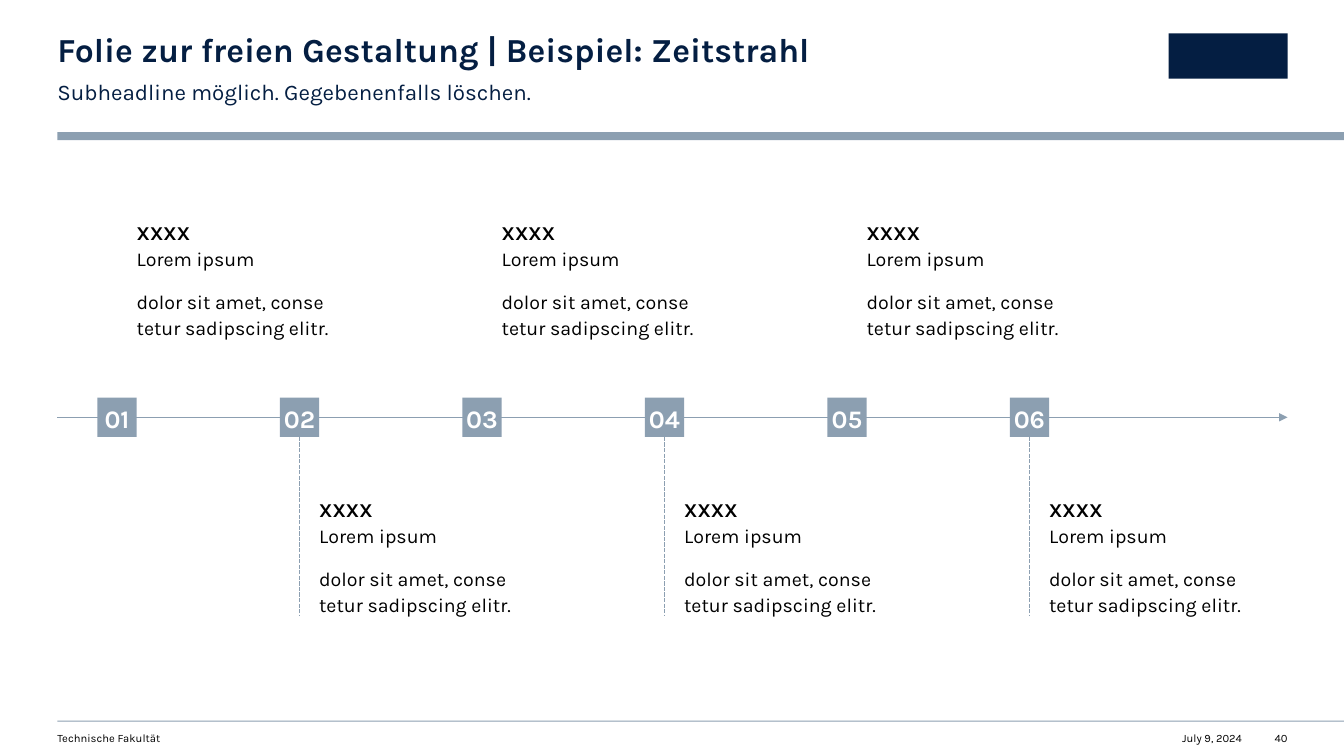
"""Build a timeline slide with six alternating milestones."""
import pptx
import pptx.dml.color
import pptx.enum.dml
import pptx.enum.shapes
import pptx.enum.text
import pptx.oxml.xmlchemy
import pptx.util

Inches = pptx.util.Inches
Pt = pptx.util.Pt
RGBColor = pptx.dml.color.RGBColor
Align = pptx.enum.text.PP_ALIGN

NAVY = RGBColor(0x04, 0x1E, 0x42)
STEEL = RGBColor(0x8C, 0x9F, 0xB1)
BLACK = RGBColor(0, 0, 0)
WHITE = RGBColor(255, 255, 255)
FONT = "Karla"

MARGIN = 0.57
RIGHT_EDGE = 12.77
AXIS_Y = 4.14
MARKER_SIZE = 0.39
FIRST_MARKER_X = 1.16
MARKER_STEP = 1.81
UPPER_TEXT_Y = 2.17
LOWER_TEXT_Y = 4.92
DASH_END_Y = 6.11
MILESTONES = [
    (number, "XXXX", "Lorem ipsum", "dolor sit amet, conse\vtetur sadipscing elitr.")
    for number in ("01", "02", "03", "04", "05", "06")
]


def style_paragraph(paragraph, size, color, bold=None, align=Align.LEFT, spacing=1.0, after=0):
    """Set the font and the spacing of a paragraph."""
    paragraph.font.name = FONT
    paragraph.font.size = Pt(size)
    paragraph.font.color.rgb = color
    paragraph.font.bold = bold
    paragraph.alignment = align
    paragraph.line_spacing = spacing
    paragraph.space_after = Pt(after)


def clear_margins(frame):
    """Remove the inner margins of a text frame."""
    frame.margin_left = frame.margin_right = frame.margin_top = frame.margin_bottom = 0


def add_text_frame(slide, left, top, width, height):
    """Add a wrapping text box without margins and return its frame."""
    box = slide.shapes.add_textbox(Inches(left), Inches(top), Inches(width), Inches(height))
    clear_margins(box.text_frame)
    box.text_frame.word_wrap = True
    return box.text_frame


def add_label(slide, text, left, top, width, height, size, color, **style):
    """Add a text box with one styled paragraph."""
    paragraph = add_text_frame(slide, left, top, width, height).paragraphs[0]
    paragraph.text = text
    style_paragraph(paragraph, size, color, **style)


def add_rectangle(slide, left, top, width, height, color):
    """Add a plain filled rectangle."""
    shape = slide.shapes.add_shape(
        pptx.enum.shapes.MSO_SHAPE.RECTANGLE,
        Inches(left), Inches(top), Inches(width), Inches(height))
    shape.shadow.inherit = False
    shape.fill.solid()
    shape.fill.fore_color.rgb = color
    shape.line.fill.background()
    return shape


def add_line(slide, start_x, start_y, end_x, end_y):
    """Add a thin straight connector without a shadow."""
    line = slide.shapes.add_connector(
        pptx.enum.shapes.MSO_CONNECTOR.STRAIGHT,
        Inches(start_x), Inches(start_y), Inches(end_x), Inches(end_y))
    line.line.color.rgb = STEEL
    line.line.width = Pt(1)
    line._element.spPr.append(pptx.oxml.xmlchemy.OxmlElement("a:effectLst"))
    return line


def add_axis(slide):
    """Add the horizontal time arrow."""
    axis = add_line(slide, MARGIN, AXIS_Y, RIGHT_EDGE, AXIS_Y)
    arrowhead = pptx.oxml.xmlchemy.OxmlElement("a:tailEnd")
    arrowhead.set("type", "triangle")
    axis.line._get_or_add_ln().append(arrowhead)


def add_marker(slide, number, center_x):
    """Add a numbered square on the time arrow."""
    marker = add_rectangle(slide, center_x - MARKER_SIZE / 2, AXIS_Y - MARKER_SIZE / 2,
                           MARKER_SIZE, MARKER_SIZE, STEEL)
    frame = marker.text_frame
    clear_margins(frame)
    frame.vertical_anchor = pptx.enum.text.MSO_ANCHOR.MIDDLE
    frame.paragraphs[0].text = number
    style_paragraph(frame.paragraphs[0], 18, WHITE, True, Align.CENTER, 1.1, 12)
    return marker


def add_description(slide, heading, subject, details, left, top):
    """Add the heading and the details of a milestone."""
    frame = add_text_frame(slide, left, top, 1.95, 1.18)
    intro = frame.paragraphs[0]
    heading_run = intro.add_run()
    heading_run.text = heading
    heading_run.font.bold = True
    intro.add_line_break()
    intro.add_run().text = subject
    body = frame.add_paragraph()
    body.text = details
    for paragraph in (intro, body):
        style_paragraph(paragraph, 14, BLACK, spacing=1.1, after=12)


def add_milestone(slide, index, number, heading, subject, details):
    """Add a marker with its text above or below the time arrow."""
    center_x = FIRST_MARKER_X + index * MARKER_STEP
    is_lower = index % 2 == 1
    marker = add_marker(slide, number, center_x)
    add_description(slide, heading, subject, details, center_x + MARKER_SIZE / 2,
                    LOWER_TEXT_Y if is_lower else UPPER_TEXT_Y)
    if is_lower:
        dash = add_line(slide, center_x, AXIS_Y + MARKER_SIZE / 2, center_x, DASH_END_Y)
        dash.line.dash_style = pptx.enum.dml.MSO_LINE.SQUARE_DOT
        dash.begin_connect(marker, 2)


def add_frame(slide):
    """Add the title area, the rules, the logo block and the footer."""
    for top, height in ((1.31, 0.08), (7.15, 0.01)):
        add_rectangle(slide, MARGIN, top, 13.33 - MARGIN, height, STEEL)
    add_rectangle(slide, 11.59, 0.33, 1.18, 0.45, NAVY)
    add_label(slide, "Folie zur freien Gestaltung | Beispiel: Zeitstrahl",
              MARGIN, 0.33, 7.49, 0.36, 24, NAVY, bold=True, spacing=0.9)
    add_label(slide, "Subheadline möglich. Gegebenenfalls löschen.",
              MARGIN, 0.75, 7.49, 0.27, 16, NAVY, spacing=1.1, after=12)
    add_label(slide, "Technische Fakultät", MARGIN, 7.26, 5.98, 0.13, 8, BLACK)
    add_label(slide, "July 9, 2024", 11.58, 7.26, 0.74, 0.13, 8, BLACK, align=Align.RIGHT)
    add_label(slide, "40", 12.57, 7.26, 0.2, 0.13, 8, BLACK, align=Align.RIGHT)


def main():
    """Create and save the presentation."""
    presentation = pptx.Presentation()
    presentation.slide_width = Inches(13.33)
    presentation.slide_height = Inches(7.5)
    slide = presentation.slides.add_slide(presentation.slide_layouts[6])
    add_frame(slide)
    add_axis(slide)
    for index, milestone in enumerate(MILESTONES):
        add_milestone(slide, index, *milestone)
    presentation.save("out.pptx")


if __name__ == "__main__":
    main()
